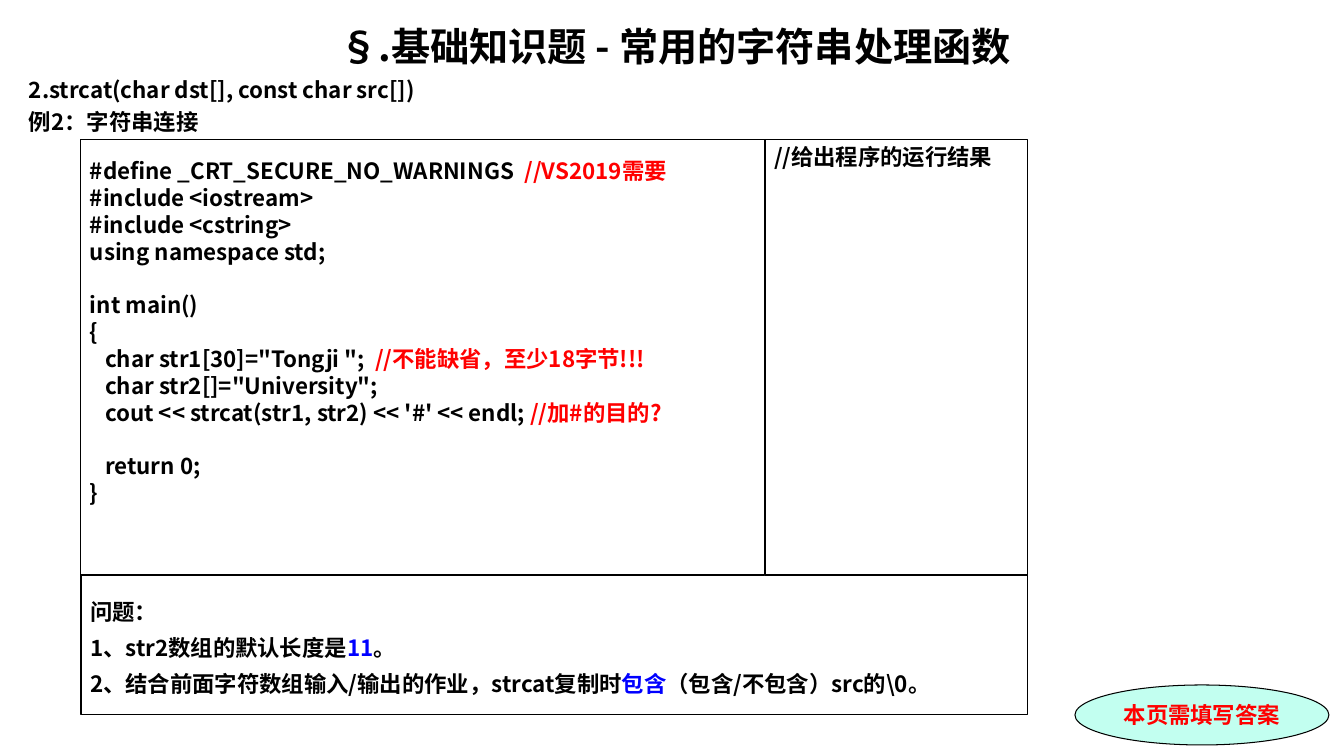
from pptx import Presentation
from pptx.dml.color import RGBColor
from pptx.enum.shapes import MSO_SHAPE
from pptx.enum.text import MSO_ANCHOR, MSO_AUTO_SIZE, PP_ALIGN
from pptx.oxml.ns import qn
from pptx.util import Pt

EMU_PER_PX = 914400 / 100.8
BLACK = RGBColor(0, 0, 0)
RED = RGBColor(255, 0, 0)
BLUE = RGBColor(0, 0, 255)
MINT = RGBColor(0xC2, 0xFF, 0xF0)
CHINESE_FONT = "Noto Sans CJK SC"
LINE_PITCH = Pt(19.2)
PADDING = 9

HEADING = ["2.strcat(char dst[], const char src[])", "例2：字符串连接"]
CODE_BLOCKS = [
    [
        [("#define _CRT_SECURE_NO_WARNINGS", BLACK), ("  //VS2019需要", RED)],
        [("#include <iostream>", BLACK)],
        [("#include <cstring>", BLACK)],
        [("using namespace std;", BLACK)],
    ],
    [
        [("int main()", BLACK)],
        [("{", BLACK)],
        [('   char str1[30]="Tongji ";  ', BLACK), ("//不能缺省，至少18字节!!!", RED)],
        [('   char str2[]="University";', BLACK)],
        [("   cout << strcat(str1, str2) << '#' << endl;", BLACK), (" //加#的目的?", RED)],
    ],
    [
        [("   return 0;", BLACK)],
        [("}", BLACK)],
    ],
]
QUESTIONS = [
    [("问题：", BLACK)],
    [("1、str2数组的默认长度是", BLACK), ("11", BLUE), ("。", BLACK)],
    [
        ("2、结合前面字符数组输入/输出的作业，strcat复制时", BLACK),
        ("包含", BLUE),
        ("（包含/不包含）src的\\0。", BLACK),
    ],
]


def px(value):
    return round(value * EMU_PER_PX)


def set_values(target, values):
    for name, value in values.items():
        setattr(target, name, value)


def write_runs(paragraph, runs, size=16, font=CHINESE_FONT):
    for text, color in runs:
        run = paragraph.add_run()
        run.text = text
        set_values(run.font, {"name": font, "size": Pt(size), "bold": True})
        run.font.color.rgb = color
        properties = run.font._element
        east_asian = properties.makeelement(qn("a:ea"), {"typeface": CHINESE_FONT})
        properties.find(qn("a:latin")).addnext(east_asian)


def prepare_frame(frame, top=0, anchor=MSO_ANCHOR.TOP, side=PADDING):
    set_values(frame, {
        "word_wrap": True,
        "auto_size": MSO_AUTO_SIZE.NONE,
        "vertical_anchor": anchor,
        "margin_left": px(side),
        "margin_right": px(side),
        "margin_top": px(top),
        "margin_bottom": 0,
    })


def write_lines(frame, lines, gaps):
    for index, (runs, gap) in enumerate(zip(lines, gaps)):
        paragraph = frame.add_paragraph() if index else frame.paragraphs[0]
        set_values(paragraph, {
            "alignment": PP_ALIGN.LEFT,
            "line_spacing": LINE_PITCH,
            "space_before": gap if index else Pt(0),
        })
        write_runs(paragraph, runs)


def add_outlined(slide, kind, box):
    shape = slide.shapes.add_shape(kind, *map(px, box))
    shape.shadow.inherit = False
    shape.fill.background()
    shape.line.color.rgb = BLACK
    shape.line.width = Pt(0.75)
    return shape


def add_panel(slide, box, lines, gaps, top):
    panel = add_outlined(slide, MSO_SHAPE.RECTANGLE, box)
    prepare_frame(panel.text_frame, top)
    write_lines(panel.text_frame, lines, gaps)


def add_title(slide, box):
    title = slide.shapes.title
    left, top, width, height = map(px, box)
    set_values(title, {"left": left, "top": top, "width": width, "height": height})
    prepare_frame(title.text_frame, anchor=MSO_ANCHOR.MIDDLE)
    paragraph = title.text_frame.paragraphs[0]
    set_values(paragraph, {"alignment": PP_ALIGN.CENTER, "space_before": Pt(0)})
    write_runs(paragraph, [("§.基础知识题 - 常用的字符串处理函数", BLACK)], size=28)


def add_heading(slide, box):
    heading = slide.shapes.add_textbox(*map(px, box))
    prepare_frame(heading.text_frame)
    lines = [[(text, BLACK)] for text in HEADING]
    write_lines(heading.text_frame, lines, [Pt(3.5)] * len(lines))


def add_exercise(slide, box):
    left, top, width, height = box
    code_width, code_height = 684, 436
    lines = [line for block in CODE_BLOCKS for line in block]
    gaps = [Pt(0) if index else LINE_PITCH
            for block in CODE_BLOCKS for index in range(len(block))]
    add_panel(slide, (left, top, code_width, code_height), lines, gaps, 18)
    add_panel(slide, (left, top + code_height, width, height - code_height),
              QUESTIONS, [Pt(6.7)] * len(QUESTIONS), 23)
    add_panel(slide, (left + code_width, top, width - code_width, code_height),
              [[("//给出程序的运行结果", BLACK)]], [Pt(0)], 4)


def add_answer_badge(slide, box):
    badge = add_outlined(slide, MSO_SHAPE.OVAL, box)
    badge.fill.solid()
    badge.fill.fore_color.rgb = MINT
    prepare_frame(badge.text_frame, anchor=MSO_ANCHOR.MIDDLE, side=0)
    paragraph = badge.text_frame.paragraphs[0]
    set_values(paragraph, {"alignment": PP_ALIGN.CENTER, "line_spacing": LINE_PITCH})
    write_runs(paragraph, [("本页需填写答案", RED)], font="Times New Roman")


def main():
    presentation = Presentation()
    set_values(presentation, {"slide_width": px(1344), "slide_height": px(756)})
    slide = presentation.slides.add_slide(presentation.slide_layouts[5])
    add_title(slide, (20, 16, 1310, 60))
    add_heading(slide, (20, 76, 1310, 60))
    add_answer_badge(slide, (1075, 685, 254, 60))
    add_exercise(slide, (81, 139, 947, 576))
    presentation.save("out.pptx")


if __name__ == "__main__":
    main()
